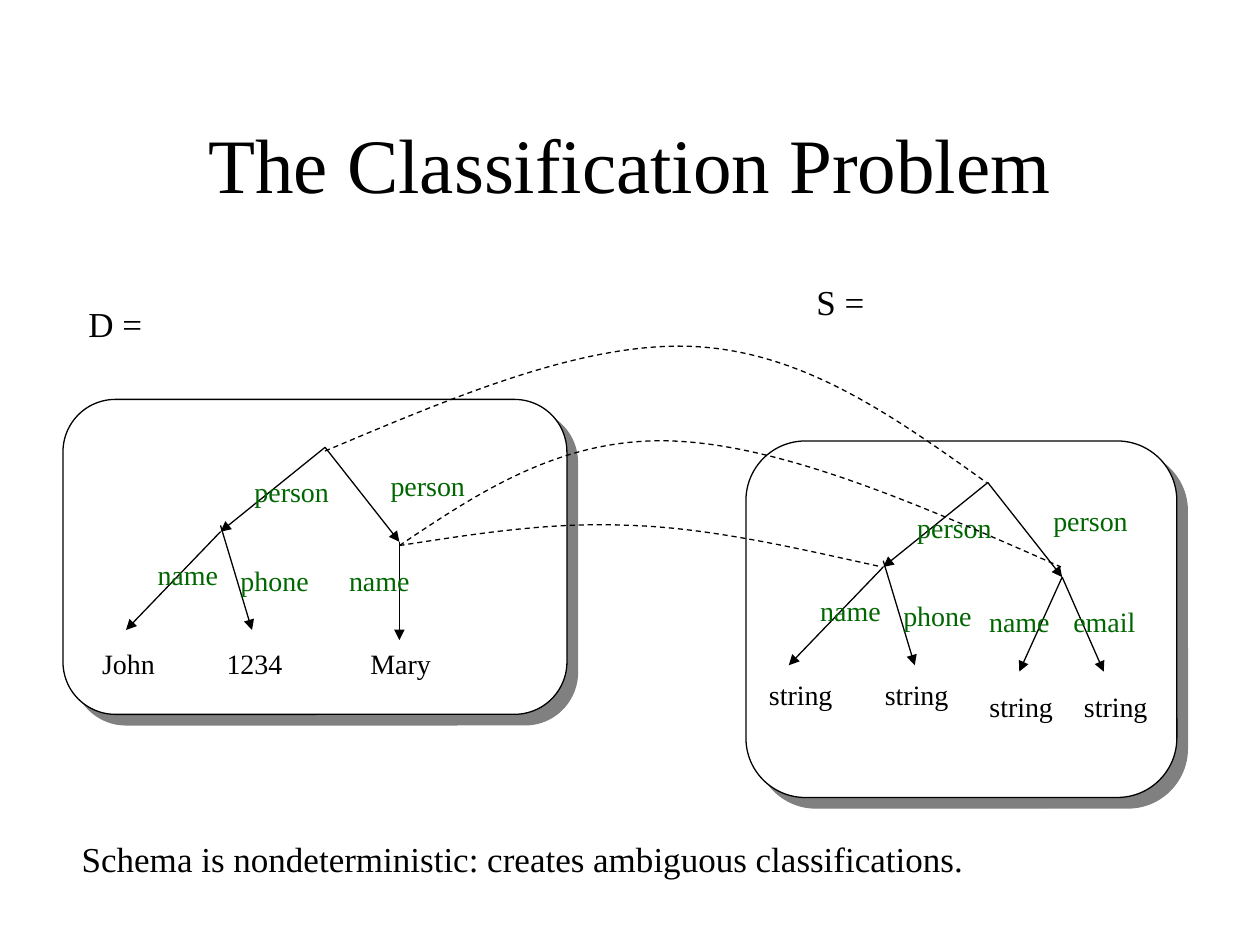
from dataclasses import dataclass

from lxml import etree
from pptx import Presentation
from pptx.dml.color import RGBColor
from pptx.enum.dml import MSO_LINE
from pptx.enum.shapes import MSO_CONNECTOR, MSO_SHAPE
from pptx.enum.text import MSO_ANCHOR, MSO_AUTO_SIZE, PP_ALIGN
from pptx.oxml.ns import qn
from pptx.util import Emu, Pt

PX = 9144  # EMU per px, 100 px to the inch
STRAIGHT = MSO_CONNECTOR.STRAIGHT
ROUNDED = MSO_SHAPE.ROUNDED_RECTANGLE
DASH = MSO_LINE.DASH
MIDDLE = MSO_ANCHOR.MIDDLE
FIT_TEXT = MSO_AUTO_SIZE.SHAPE_TO_FIT_TEXT
LEFT, CENTER = PP_ALIGN.LEFT, PP_ALIGN.CENTER


@dataclass(frozen=True)
class Theme:
    font: str = "Times New Roman"
    ink: RGBColor = RGBColor(0, 0, 0)
    paper: RGBColor = RGBColor(255, 255, 255)
    edge_label: RGBColor = RGBColor(0, 0x66, 0)
    shadow: str = "808080"
    title: Pt = Pt(44)
    body: Pt = Pt(20)
    label: Pt = Pt(16)
    line: Pt = Pt(0.75)


THEME = Theme()
LABEL_HEIGHT, BODY_HEIGHT = 37, 44
LABEL_WIDTHS = {"person": 79, "name": 68, "phone": 74, "email": 69,
                "string": 71, "John": 62, "1234": 64, "Mary": 68}

# Tree parts are offsets from the root node.
LEFT_CHILD, RIGHT_CHILD = (-83, 67), (59, 75)
SHARED_EDGES = [((0, 0), LEFT_CHILD), (LEFT_CHILD, (-158, 145)),
                ((0, 0), RIGHT_CHILD), ((-83, 62), (-58, 145))]
SHARED_LABELS = [("person", -66, 17), ("person", 42, 12),
                 ("name", -143, 83), ("phone", -77, 87)]

DATA_TREE = {
    "box": (50, 317, 400, 250),
    "root": (208, 38),
    "leaf_ends": [(59, 153)],
    "labels": [("name", 9, 87)],
    "leaves": [("John", -187, 153), ("1234", -88, 153), ("Mary", 26, 153)],
}
SCHEMA_TREE = {
    "box": (592, 350, 342, 283),
    "root": (192, 33),
    "leaf_ends": [(25, 150), (92, 150)],
    "labels": [("name", -9, 92), ("email", 58, 92)],
    "leaves": [("string", -184, 150), ("string", -92, 150),
               ("string", -9, 159), ("string", 66, 159)],
}
# Start point, then two Bézier segments of three points each.
MAPPING_CURVES = [
    [(258, 358), (360, 315), (463, 271), (550, 275), (638, 279), (710, 331), (783, 383)],
    [(317, 433), (376, 424), (436, 414), (500, 417), (564, 419), (632, 435), (700, 450)],
    [(317, 433), (381, 390), (446, 347), (533, 350), (621, 353), (731, 401), (842, 450)],
]


def to_emu(*lengths):
    return [Emu(length * PX) for length in lengths]


def set_font(paragraph, size, color=THEME.ink):
    font = paragraph.font
    font.name, font.size = THEME.font, size
    font.color.rgb = color


def set_line(line):
    line.color.rgb = THEME.ink
    line.width = THEME.line


def add_text(slide, text, box, size, color=THEME.ink, alignment=CENTER):
    frame = slide.shapes.add_textbox(*to_emu(*box)).text_frame
    frame.word_wrap = False
    frame.auto_size = FIT_TEXT
    paragraph = frame.paragraphs[0]
    paragraph.text = text
    paragraph.alignment = alignment
    set_font(paragraph, size, color)


def add_labels(slide, labels, origin, color):
    for text, x, y in labels:
        box = (origin[0] + x, origin[1] + y, LABEL_WIDTHS[text], LABEL_HEIGHT)
        add_text(slide, text, box, THEME.label, color)


def add_arrow(slide, start, end):
    arrow = slide.shapes.add_connector(STRAIGHT, *to_emu(*start, *end))
    set_line(arrow.line)
    etree.SubElement(arrow.line._get_or_add_ln(), qn("a:tailEnd"), type="triangle")
    etree.SubElement(arrow._element.spPr, qn("a:effectLst"))


def add_panel(slide, box):
    panel = slide.shapes.add_shape(ROUNDED, *to_emu(*box))
    panel.fill.solid()
    panel.fill.fore_color.rgb = THEME.paper
    set_line(panel.line)
    panel.shadow.inherit = False
    effects = panel._element.spPr.find(qn("a:effectLst"))
    shadow = etree.SubElement(effects, qn("a:outerShdw"), blurRad="0",
                              dist=str(Pt(8.5)), dir="2700000", algn="ctr", rotWithShape="0")
    etree.SubElement(shadow, qn("a:srgbClr"), val=THEME.shadow)


def add_tree(slide, box, root, leaf_ends, labels, leaves):
    add_panel(slide, box)
    origin = (box[0] + root[0], box[1] + root[1])
    for edge in SHARED_EDGES + [(RIGHT_CHILD, end) for end in leaf_ends]:
        add_arrow(slide, *[(origin[0] + x, origin[1] + y) for x, y in edge])
    add_labels(slide, SHARED_LABELS + labels, origin, THEME.edge_label)
    add_labels(slide, leaves, origin, THEME.ink)


def add_mapping_curve(slide, points):
    """Draw a dashed curve by turning each three line segments into one Bézier."""
    builder = slide.shapes.build_freeform(*points[0], scale=PX)
    builder.add_line_segments(points[1:], close=False)
    curve = builder.convert_to_shape()
    curve.fill.background()
    set_line(curve.line)
    curve.line.dash_style = DASH
    curve.shadow.inherit = False
    segments = list(curve._element.iter(qn("a:lnTo")))
    outline = segments[0].getparent()
    for index in range(0, len(segments), 3):
        bezier = etree.SubElement(outline, qn("a:cubicBezTo"))
        for segment in segments[index:index + 3]:
            bezier.append(segment[0])
            outline.remove(segment)


def add_title(slide, text, box):
    title = slide.shapes.title
    title.left, title.top, title.width, title.height = to_emu(*box)
    title.text_frame.vertical_anchor = MIDDLE
    paragraph = title.text_frame.paragraphs[0]
    paragraph.text = text
    paragraph.alignment = CENTER
    set_font(paragraph, THEME.title)


def main():
    presentation = Presentation()
    presentation.slide_width, presentation.slide_height = to_emu(1000, 750)
    slide = presentation.slides.add_slide(presentation.slide_layouts[5])
    add_title(slide, "The Classification Problem", (75, 67, 850, 125))
    for tree in (SCHEMA_TREE, DATA_TREE):
        add_tree(slide, **tree)
    for points in MAPPING_CURVES:
        add_mapping_curve(slide, points)
    add_text(slide, "D =", (60, 235, 63, BODY_HEIGHT), THEME.body)
    add_text(slide, "S =", (638, 218, 58, BODY_HEIGHT), THEME.body)
    add_text(slide, "Schema is nondeterministic: creates ambiguous classifications.",
             (55, 660, 720, BODY_HEIGHT), THEME.body, alignment=LEFT)
    presentation.save("out.pptx")


if __name__ == "__main__":
    main()
